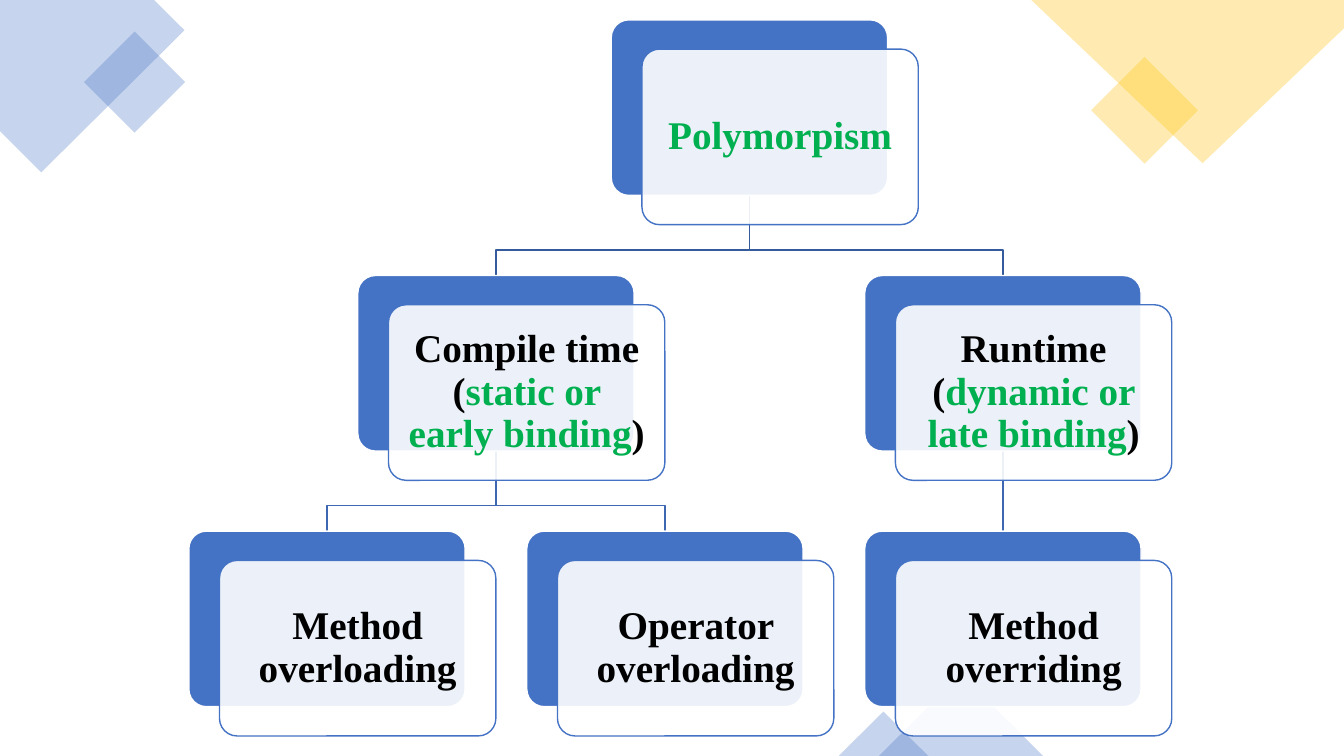
from dataclasses import dataclass
from lxml.etree import SubElement
from pptx import Presentation
from pptx.dml.color import RGBColor
from pptx.enum.shapes import MSO_CONNECTOR, MSO_SHAPE
from pptx.enum.text import MSO_ANCHOR, PP_ALIGN
from pptx.oxml.ns import qn
from pptx.util import Pt


@dataclass(frozen=True)
class Theme:
    blue: str = "4472C4"
    yellow: str = "FFC000"
    green: str = "00B050"
    black: str = "000000"
    white: str = "FFFFFF"
    upper_link: str = "365B9D"
    lower_link: str = "3E67B2"
    font: str = "Times New Roman"
    size: float = 28


theme = Theme()

# Content: name -> (column, row, text runs)
cards = {
    "root": (1.25, 0, [("Polymorpism", theme.green)]),
    "compile": (0.5, 1, [("Compile time (", theme.black),
                         ("static or early binding", theme.green), (")", theme.black)]),
    "method": (0, 2, [("Method overloading", theme.black)]),
    "operator": (1, 2, [("Operator overloading", theme.black)]),
    "runtime": (2, 1, [("Runtime (", theme.black),
                       ("dynamic or late binding", theme.green), (")", theme.black)]),
    "override": (2, 2, [("Method overriding", theme.black)]),
}
elbows = [("root", "runtime", theme.upper_link), ("compile", "operator", theme.lower_link),
          ("compile", "method", theme.lower_link), ("root", "compile", theme.upper_link)]
straight = ("runtime", "override", theme.lower_link)

# Corner decoration: outlines, diamonds and triangles in points
blue_corner = [(110.2, 0), (0, 0), (0, 93.6), (29.5, 123.1), (131.8, 21.6)]
yellow_corner = [(960, 0), (736.6, 0), (859, 116.6), (960, 20.2)]
blue_diamond = (70.6, 33.1, 51.1, 51.1)
yellow_diamond = (790.6, 51.8, 54, 54)
triangles = [(627.8, 481.7, 117.4, 58.3), (599, 508.3, 64.1, 31.7)]

# Tree grid in points
left, top = 134.9, 14.2
column_step, row_step = 241.4, 182.6
card_width, card_height = 197.4, 125.4
shift_x, shift_y = 21.9, 20.9
bend = 38.9

deck = Presentation()
deck.slide_width, deck.slide_height = Pt(960), Pt(540)
page = deck.slides.add_slide(deck.slide_layouts[6])


def paint(shape, fill=None, line=None, alpha=None):
    shape.shadow.inherit = False
    if fill:
        shape.fill.solid()
        shape.fill.fore_color.rgb = RGBColor.from_string(fill)
        if alpha:
            color = shape.fill._xPr.find(qn("a:solidFill"))[0]
            SubElement(color, qn("a:alpha")).set("val", str(alpha * 1000))
    else:
        shape.fill.background()
    if line:
        shape.line.color.rgb = RGBColor.from_string(line)
        shape.line.width = Pt(1)
    else:
        shape.line.fill.background()


def add_shape(kind, frame, **look):
    shape = page.shapes.add_shape(kind, *(Pt(length) for length in frame))
    paint(shape, **look)
    return shape


def add_outline(points, close, **look):
    start, *rest = [(Pt(x), Pt(y)) for x, y in points]
    builder = page.shapes.build_freeform(*start, scale=1.0)
    builder.add_line_segments(rest, close=close)
    paint(builder.convert_to_shape(), **look)


def write_text(box, runs, font, size, bold=True, inset=8.7):
    frame = box.text_frame
    frame.word_wrap = True
    frame.vertical_anchor = MSO_ANCHOR.MIDDLE
    frame.margin_left = frame.margin_right = Pt(inset)
    frame.margin_top = frame.margin_bottom = Pt(inset)
    para = frame.paragraphs[0]
    para.alignment = PP_ALIGN.CENTER
    para.line_spacing = 0.9
    for text, color in runs:
        span = para.add_run()
        span.text = text
        span.font.name, span.font.size, span.font.bold = font, Pt(size), bold
        span.font.color.rgb = RGBColor.from_string(color)


def card_corner(name):
    column, row, _ = cards[name]
    return left + column * column_step, top + row * row_step


def link_ends(parent, child):
    (parent_x, parent_y), (child_x, child_y) = card_corner(parent), card_corner(child)
    half = card_width / 2
    return (parent_x + half, parent_y + card_height), (child_x + half, child_y)


# Decoration
add_outline(blue_corner, True, fill=theme.blue, alpha=30)
for frame, color in ((blue_diamond, theme.blue), (yellow_diamond, theme.yellow)):
    add_shape(MSO_SHAPE.RECTANGLE, frame, fill=color, alpha=30).rotation = 315
add_outline(yellow_corner, True, fill=theme.yellow, alpha=30)
for frame in triangles:
    add_shape(MSO_SHAPE.ISOSCELES_TRIANGLE, frame, fill=theme.blue, alpha=30)

# Links, behind the cards
parent, child, link_color = straight
(x1, y1), (x2, y2) = link_ends(parent, child)
connector = page.shapes.add_connector(MSO_CONNECTOR.STRAIGHT, Pt(x1), Pt(y1), Pt(x2), Pt(y2))
connector.line.color.rgb = RGBColor.from_string(link_color)
connector.line.width = Pt(1)
SubElement(connector._element.spPr, qn("a:effectLst"))
for upper, lower, color in elbows:
    (x1, y1), (x2, y2) = link_ends(upper, lower)
    add_outline([(x1, y1), (x1, y1 + bend), (x2, y1 + bend), (x2, y2)], False, line=color)

# Cards: a solid back and a translucent front that holds the text
backs = {}
for name, (_, _, runs) in cards.items():
    x, y = card_corner(name)
    back = add_shape(MSO_SHAPE.ROUNDED_RECTANGLE, (x, y, card_width, card_height),
                     fill=theme.blue, line=theme.white)
    front = add_shape(MSO_SHAPE.ROUNDED_RECTANGLE,
                      (x + shift_x, y + shift_y, card_width, card_height),
                      fill=theme.white, line=theme.blue, alpha=90)
    back.adjustments[0] = front.adjustments[0] = 0.1
    write_text(front, runs, font=theme.font, size=theme.size)
    backs[name] = back

connector.begin_connect(backs[parent], 2)
connector.end_connect(backs[child], 0)

deck.save("out.pptx")
